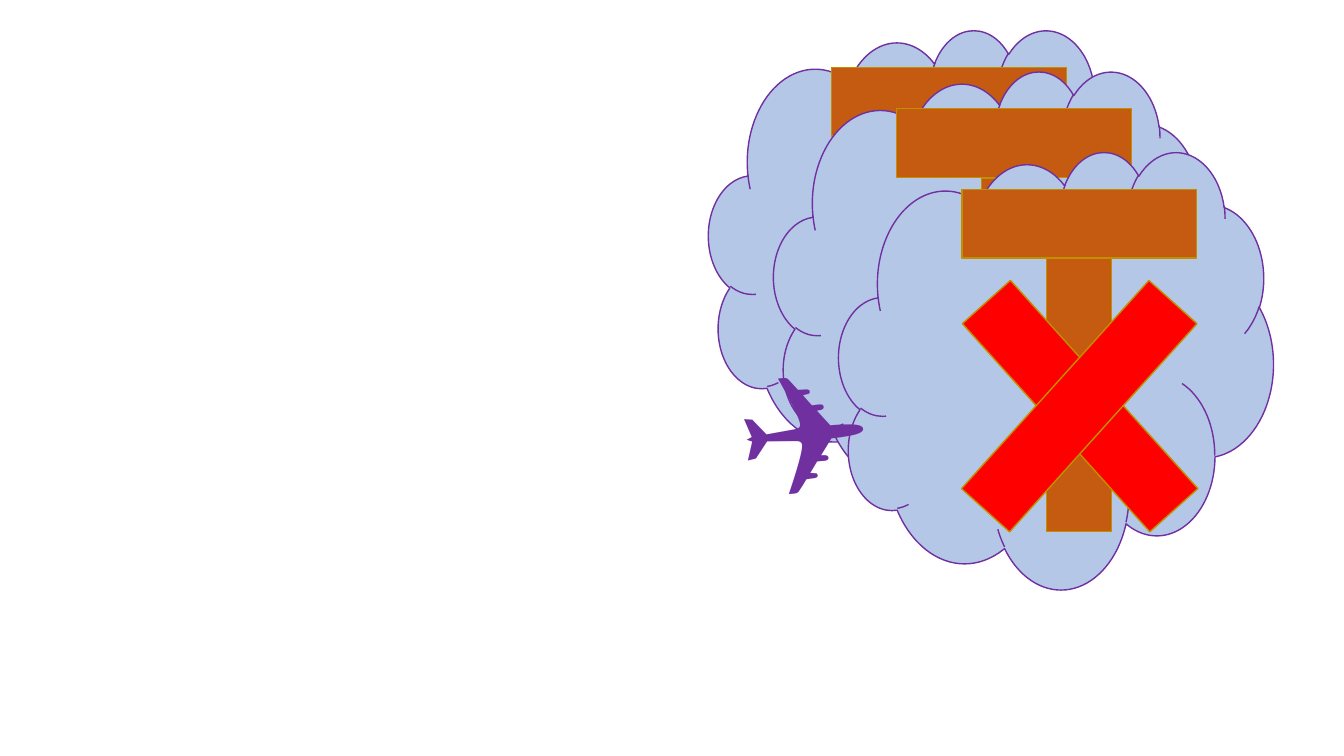
from pptx import Presentation
from pptx.dml.color import RGBColor
from pptx.enum.shapes import MSO_SHAPE as SHAPE
from pptx.enum.text import MSO_AUTO_SIZE as AUTO
from pptx.util import Cm, Pt

SKY = RGBColor(0xB4, 0xC7, 0xE7)
PURPLE = RGBColor(0x70, 0x30, 0xA0)
BROWN = RGBColor(0xC5, 0x5A, 0x11)
GOLD = RGBColor(0xBF, 0x90, 0x00)
RED = RGBColor(0xFF, 0x00, 0x00)

CLOUD_X, CLOUD_STEP = 17.86, 1.64
CLOUD_TOPS = (0.74, 1.78, 3.81)
BARS = (
    (3.1, 0.96, 5.92, 1.73, 0, BROWN),
    (2.61, 5.33, 6.88, 1.63, 90, BROWN),
    (2.55, 5.61, 7.06, 1.63, 48, RED),
    (2.53, 5.61, 7.06, 1.63, 312, RED),
)


def add_part(group, kind, x, y, w, h, fill, line, rotation=0):
    sp = group.shapes.add_shape(kind, Cm(x), Cm(y), Cm(w), Cm(h))
    sp.shadow.inherit = False
    sp.rotation = rotation
    sp.fill.solid()
    sp.fill.fore_color.rgb = fill
    sp.line.color.rgb = line
    sp.line.width = Pt(1)


def add_cloud(s, x, y, w, h):
    group = s.shapes.add_group_shape()
    add_part(group, SHAPE.CLOUD, x, y, w, h, SKY, PURPLE)
    for dx, dy, bar_w, bar_h, rotation, fill in BARS:
        add_part(group, SHAPE.RECTANGLE, x + dx, y + dy, bar_w, bar_h,
                 fill, GOLD, rotation)


def add_plane(s, x, y, w, h):
    sp = s.shapes.add_textbox(Cm(x), Cm(y), Cm(w), Cm(h))
    sp.rotation = 354.6
    tf = sp.text_frame
    tf.word_wrap = True
    tf.auto_size = AUTO.SHAPE_TO_FIT_TEXT
    r = tf.paragraphs[0].add_run()
    r.text = "✈"
    r.font.name = "Calibri"
    r.font.size = Pt(96)
    r.font.color.rgb = PURPLE


def main():
    prs = Presentation()
    prs.slide_width, prs.slide_height = Cm(33.87), Cm(19.05)
    s = prs.slides.add_slide(prs.slide_layouts[6])
    for i, top in enumerate(CLOUD_TOPS):
        add_cloud(s, CLOUD_X + i * CLOUD_STEP, top, 10.95, 11.02)
    add_plane(s, 18.42, 7.92, 15.44, 5.16)
    prs.save("out.pptx")


if __name__ == "__main__":
    main()
